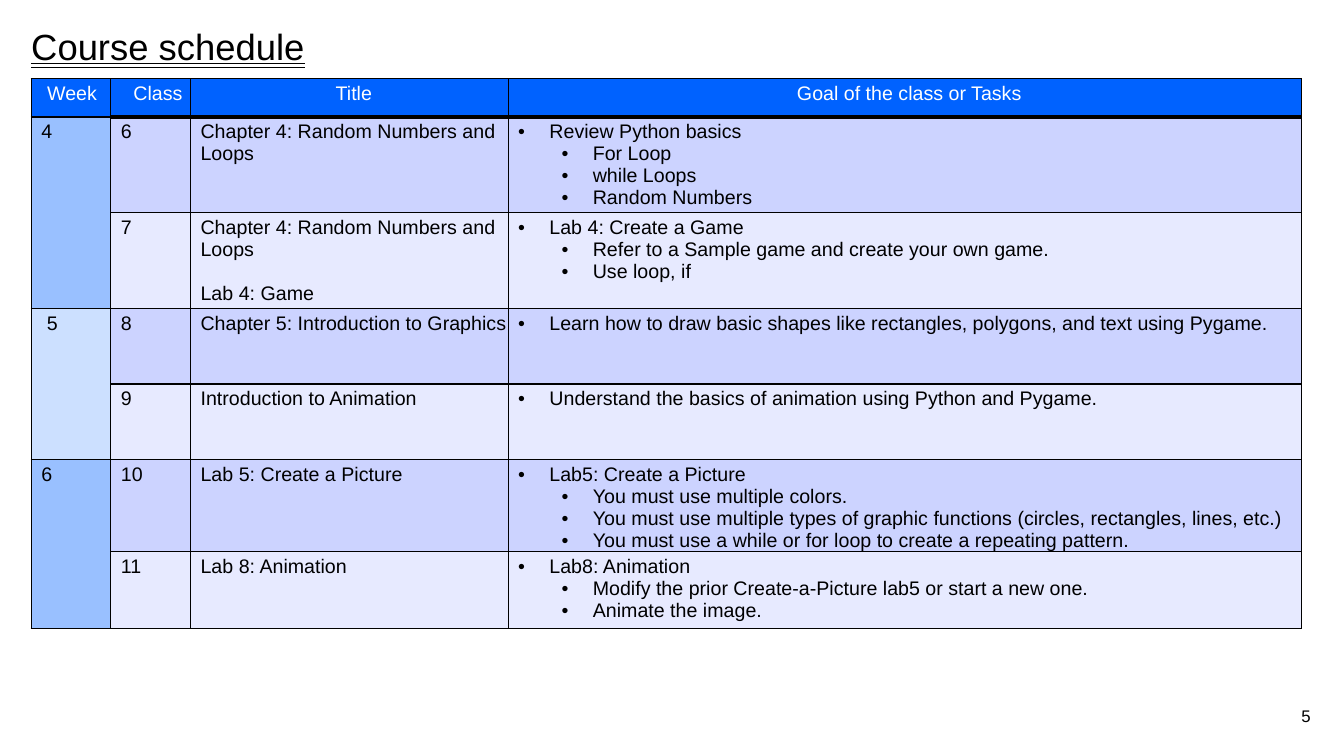
import lxml.etree
import pptx
import pptx.dml.color
import pptx.enum.text
import pptx.oxml
import pptx.oxml.ns
import pptx.util
from dataclasses import dataclass

Inches = pptx.util.Inches
Pt = pptx.util.Pt
ALIGN = pptx.enum.text.PP_ALIGN


@dataclass(frozen=True)
class Theme:
    font: str = "Arial"
    title_size: int = 26
    table_size: int = 14
    number_size: int = 12
    text: str = "000000"
    header_text: str = "FFFFFF"
    header: str = "0062FF"
    weeks: tuple = ("99C0FF", "CCE0FF")
    classes: tuple = ("CCD3FF", "E7EAFF")
    border: str = "000000"
    thin: int = 1
    thick: int = 3
    indents: tuple = (0.31, 0.74)
    hanging: float = 0.31
    paragraph_gap: float = 15.7


# Content: week, then its classes as (number, title paragraphs, goal, sub-goals)
HEADINGS = ["Week", " Class", "Title", "Goal of the class or Tasks"]
CHAPTER_4 = "Chapter 4: Random Numbers and Loops"
SCHEDULE = [
    ("4", [
        ("6", [CHAPTER_4], "Review Python basics",
         ["For Loop", "while Loops", "Random Numbers"]),
        ("7", [CHAPTER_4, "Lab 4: Game"], "Lab 4: Create a Game",
         ["Refer to a Sample game and create your own game.", "Use loop, if"]),
    ]),
    (" 5", [
        ("8", ["Chapter 5: Introduction to Graphics"],
         "Learn how to draw basic shapes like rectangles, polygons, and text using Pygame.", []),
        ("9", ["Introduction to Animation"],
         "Understand the basics of animation using Python and Pygame.", []),
    ]),
    ("6", [
        ("10", ["Lab 5: Create a Picture"], "Lab5: Create a Picture",
         ["You must use multiple colors.",
          "You must use multiple types of graphic functions (circles, rectangles, lines, etc.)",
          "You must use a while or for loop to create a repeating pattern."]),
        ("11", ["Lab 8: Animation"], "Lab8: Animation",
         ["Modify the prior Create-a-Picture lab5 or start a new one.", "Animate the image."]),
    ]),
]
COLUMN_WIDTHS = [0.79, 0.79, 3.15, 7.87]
ROW_HEIGHTS = [0.38, 0.95, 0.95, 0.75, 0.75, 0.91, 0.76]


class SlideBuilder:
    def __init__(self, slide, theme):
        self.slide = slide
        self.theme = theme

    def style(self, paragraph, size, color, align=ALIGN.LEFT):
        paragraph.alignment = align
        for run in paragraph.runs:
            run.font.name = self.theme.font
            run.font.size = Pt(size)
            run.font.bold = False
            run.font.color.rgb = pptx.dml.color.RGBColor.from_string(color)

    def frame(self, shape, box, anchor):
        shape.left, shape.top, shape.width, shape.height = map(Inches, box)
        frame = shape.text_frame
        frame.margin_left = frame.margin_top = frame.margin_right = frame.margin_bottom = 0
        frame.word_wrap = True
        frame.auto_size = pptx.enum.text.MSO_AUTO_SIZE.NONE
        frame.vertical_anchor = anchor
        return frame

    def title(self, text, box):
        frame = self.frame(self.slide.shapes.title, box, pptx.enum.text.MSO_ANCHOR.TOP)
        frame.text = text
        heading = frame.paragraphs[0]
        heading.line_spacing = 0.9
        self.style(heading, self.theme.title_size, self.theme.text)
        heading.runs[0].font.underline = pptx.enum.text.MSO_UNDERLINE.DOUBLE_LINE

    def page_number(self, text, box):
        holder = self.slide.shapes.add_textbox(0, 0, 0, 0)
        frame = self.frame(holder, box, pptx.enum.text.MSO_ANCHOR.MIDDLE)
        frame.text = text
        self.style(frame.paragraphs[0], self.theme.number_size, self.theme.text, ALIGN.RIGHT)

    def table(self, left, top, widths, heights):
        table = self.slide.shapes.add_table(
            len(heights), len(widths), Inches(left), Inches(top),
            Inches(sum(widths)), Inches(sum(heights))).table
        table.horz_banding = False
        for column, width in zip(table.columns, widths):
            column.width = Inches(width)
        for row, height in zip(table.rows, heights):
            row.height = Inches(height)
        return table

    def cell(self, cell, fill, texts=(), color=None, align=ALIGN.LEFT,
             right=0.01, top_line=None, bottom_line=None):
        cell.margin_left, cell.margin_top = Inches(0.1), Inches(0.04)
        cell.margin_right, cell.margin_bottom = Inches(right), 0
        cell.fill.solid()
        cell.fill.fore_color.rgb = pptx.dml.color.RGBColor.from_string(fill)
        thin = self.theme.thin
        self.borders(cell, {"L": thin, "R": thin, "T": top_line or thin, "B": bottom_line or thin})
        if texts:
            cell.text_frame.text = "\n".join(texts)
        for paragraph in cell.text_frame.paragraphs:
            self.style(paragraph, self.theme.table_size, color or self.theme.text, align)

    def borders(self, cell, widths):
        properties = cell._tc.get_or_add_tcPr()
        for position, (side, width) in enumerate(widths.items()):
            properties.insert(position, pptx.oxml.parse_xml(
                f'<a:ln{side} {pptx.oxml.ns.nsdecls("a")} w="{Pt(width)}"><a:solidFill>'
                f'<a:srgbClr val="{self.theme.border}"/></a:solidFill></a:ln{side}>'))

    def bullet(self, paragraph, level):
        paragraph.level = level
        properties = paragraph._p.get_or_add_pPr()
        properties.set("marL", str(Inches(self.theme.indents[level])))
        properties.set("indent", str(-Inches(self.theme.hanging)))
        font = lxml.etree.SubElement(properties, pptx.oxml.ns.qn("a:buFont"))
        font.set("typeface", self.theme.font)
        lxml.etree.SubElement(properties, pptx.oxml.ns.qn("a:buChar")).set("char", "•")


def main():
    presentation = pptx.Presentation()
    presentation.slide_width = Inches(13.33)
    presentation.slide_height = Inches(7.5)
    theme = Theme()
    builder = SlideBuilder(presentation.slides.add_slide(presentation.slide_layouts[5]), theme)

    builder.title("Course schedule", (0.31, 0.29, 6.04, 1.17))
    schedule = builder.table(0.31, 0.78, COLUMN_WIDTHS, ROW_HEIGHTS)

    # Header row: a thick rule runs under every column but the first
    for column, heading in enumerate(HEADINGS):
        builder.cell(schedule.cell(0, column), theme.header, [heading], theme.header_text,
                     ALIGN.CENTER, right=0.01 if column else 0.08,
                     bottom_line=theme.thick if column else theme.thin)

    # Each week spans the rows of its classes
    row = 1
    for week_index, (week, classes) in enumerate(SCHEDULE):
        first, last = row, row + len(classes) - 1
        week_fill = theme.weeks[week_index % 2]
        for class_index, (number, titles, goal, tasks) in enumerate(classes):
            builder.cell(schedule.cell(row, 0), week_fill, [] if class_index else [week])
            fill = theme.classes[class_index % 2]
            rule = theme.thick if row == 1 else theme.thin
            for column, texts in enumerate(([number], titles, [goal, *tasks]), start=1):
                builder.cell(schedule.cell(row, column), fill, texts, top_line=rule)
            for extra_title in schedule.cell(row, 2).text_frame.paragraphs[1:]:
                extra_title.space_before = Pt(theme.paragraph_gap)
            for index, paragraph in enumerate(schedule.cell(row, 3).text_frame.paragraphs):
                builder.bullet(paragraph, min(index, 1))
            row += 1
        schedule.cell(first, 0).merge(schedule.cell(last, 0))

    builder.page_number("5", (10.33, 6.98, 2.67, 0.24))
    presentation.save("out.pptx")


if __name__ == "__main__":
    main()
